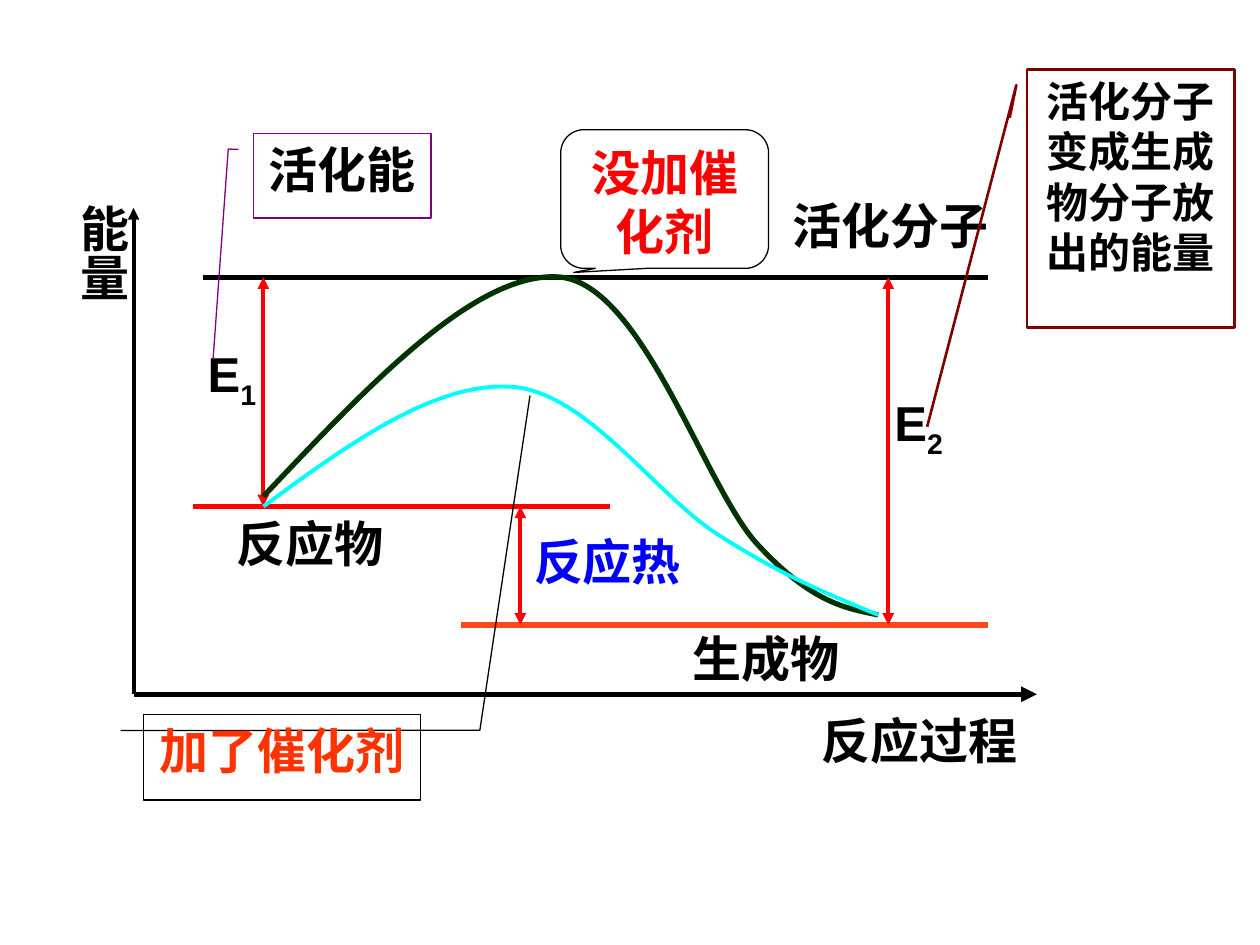
from collections import namedtuple

from pptx import Presentation
from pptx.dml.color import RGBColor
from pptx.enum.shapes import MSO_CONNECTOR, MSO_SHAPE
from pptx.enum.text import MSO_ANCHOR, MSO_AUTO_SIZE, PP_ALIGN
from pptx.oxml.ns import qn
from pptx.util import Inches, Pt
from lxml.etree import SubElement

COLORS = {
    "black": "000000",
    "red": "FF0000",
    "orange": "FB4A18",
    "scarlet": "FF3300",
    "green": "003300",
    "cyan": "00FFFF",
    "blue": "0000FF",
    "purple": "800080",
    "maroon": "800000",
}
FONT = "Arial"
Box = namedtuple("Box", "left top width height")

# Energy levels, measured down from the top of the plot
PEAK, REACTANT, PRODUCT = 0.55, 2.37, 3.31


def color(name):
    return RGBColor.from_string(COLORS[name])


def style_line(line, color_name, width):
    line.color.rgb = color(color_name)
    line.width = Pt(width)


def style_text(text_frame, color_name="black", size=28):
    for paragraph in text_frame.paragraphs:
        for run in paragraph.runs:
            run.font.name = FONT
            run.font.size = Pt(size)
            run.font.bold = True
            run.font.color.rgb = color(color_name)


def add_line(slide, box, start, end, color_name, width, arrows=()):
    """Arrows names the ends that carry a head: headEnd, tailEnd."""
    (x1, y1), (x2, y2) = start, end
    connector = slide.shapes.add_connector(
        MSO_CONNECTOR.STRAIGHT,
        Inches(box.left + x1), Inches(box.top + y1),
        Inches(box.left + x2), Inches(box.top + y2))
    style_line(connector.line, color_name, width)
    for arrow in arrows:
        SubElement(connector.line._get_or_add_ln(), qn(f"a:{arrow}"), type="triangle")
    SubElement(connector.element.spPr, qn("a:effectLst"))


def add_curve(slide, box, points, color_name, width):
    """Draw Bezier segments: a start point, then three points per segment."""
    placed = [(Inches(box.left + x), Inches(box.top + y)) for x, y in points]
    builder = slide.shapes.build_freeform(*placed[0])
    builder.add_line_segments(placed[1:], close=False)
    curve = builder.convert_to_shape()
    outline = curve.element.xpath(".//a:path")[0]
    segments = outline.findall(qn("a:lnTo"))
    for index in range(0, len(segments), 3):
        bezier = SubElement(outline, qn("a:cubicBezTo"))
        for segment in segments[index:index + 3]:
            bezier.append(segment[0])
            outline.remove(segment)
    curve.shadow.inherit = False
    curve.fill.background()
    style_line(curve.line, color_name, width)


def add_label(slide, box, position, text, color_name="black", subscript=None):
    x, y = position
    width, height = (0.58, 0.63) if subscript else (0.2 + 0.39 * len(text), 0.57)
    label = slide.shapes.add_textbox(
        Inches(box.left + x), Inches(box.top + y), Inches(width), Inches(height))
    text_frame = label.text_frame
    text_frame.word_wrap = False
    text_frame.auto_size = MSO_AUTO_SIZE.SHAPE_TO_FIT_TEXT
    text_frame.text = text
    if subscript:
        text_frame.margin_right = 0  # room to keep the subscript on the line
        run = text_frame.paragraphs[0].add_run()
        run.text = subscript
        run.font._element.set("baseline", "-25000")
    style_text(text_frame, color_name)


def add_axis_title(slide, box, position, text):
    x, y = position
    title = slide.shapes.add_textbox(
        Inches(box.left + x), Inches(box.top + y), Inches(0.66), Inches(1.02))
    text_frame = title.text_frame
    text_frame.word_wrap = True
    text_frame.auto_size = MSO_AUTO_SIZE.SHAPE_TO_FIT_TEXT
    text_frame.margin_left = text_frame.margin_right = Inches(0.05)
    text_frame.margin_top = text_frame.margin_bottom = Inches(0.1)
    text_frame.text = text
    text_frame._txBody.bodyPr.set("vert", "eaVert")
    style_text(text_frame)


def add_callout(slide, box, kind, adjustments, text, line, text_color="black", size=28):
    callout = slide.shapes.add_shape(kind, *(Inches(length) for length in box))
    for index, value in enumerate(adjustments):
        callout.adjustments[index] = value
    callout.shadow.inherit = False
    callout.fill.background()
    style_line(callout.line, *line)
    text_frame = callout.text_frame
    text_frame.word_wrap = True
    text_frame.vertical_anchor = MSO_ANCHOR.TOP
    text_frame.text = text
    text_frame.paragraphs[0].alignment = PP_ALIGN.CENTER
    style_text(text_frame, text_color, size)


def draw_plot(slide, box):
    """Axes, energy levels, energy gaps and the two reaction curves."""
    origin = (0, box.height)
    add_line(slide, box, origin, (0, 0), "black", 2.25, ["tailEnd"])
    add_line(slide, box, origin, (box.width, box.height), "black", 3, ["tailEnd"])
    for left, right, level, color_name in [
            (0.47, 3.78, REACTANT, "red"),
            (2.6, 6.78, PRODUCT, "orange"),
            (0.55, 6.78, PEAK, "black")]:
        add_line(slide, box, (left, level), (right, level), color_name, 3)
    for x, top, bottom in [
            (1.03, PEAK, REACTANT),
            (5.99, PEAK, PRODUCT),
            (3.07, REACTANT, PRODUCT)]:
        add_line(slide, box, (x, top), (x, bottom), "red", 2.25, ["headEnd", "tailEnd"])
    add_curve(slide, box, [
        (1.03, 2.29), (1.88, 1.39), (2.73, 0.49), (3.39, 0.55), (4.05, 0.62),
        (4.54, 2.24), (4.96, 2.68), (5.38, 3.13), (5.65, 3.18), (5.91, 3.23),
    ], "green", 3)
    add_curve(slide, box, [
        (1.03, 2.37), (1.71, 1.87), (2.39, 1.38), (3, 1.42), (3.6, 1.46),
        (4.16, 2.3), (4.65, 2.6), (5.13, 2.91), (5.52, 3.07), (5.91, 3.23),
    ], "cyan", 2.25)


def draw_labels(slide, box):
    add_axis_title(slide, box, (-0.62, -0.13), "能量")
    add_label(slide, box, (5.36, 3.94), "反应过程")
    add_label(slide, box, (0.49, 1.03), "E", subscript="1")
    add_label(slide, box, (5.94, 1.42), "E", subscript="2")
    add_label(slide, box, (0.72, 2.38), "反应物")
    add_label(slide, box, (4.34, 3.29), "生成物")
    add_label(slide, box, (5.13, -0.15), "活化分子")
    add_label(slide, box, (3.08, 2.52), "反应热", "blue")


def draw_callouts(slide, box):
    def within(x, y, width, height):
        return Box(box.left + x, box.top + y, width, height)

    bent = MSO_SHAPE.LINE_CALLOUT_2
    add_callout(slide, within(0.95, -0.59, 1.41, 0.67), bent,
                [0.188, -0.083, 0.185, -0.141, 2.669, -0.226],
                "活化能", ("purple", 0.75))
    add_callout(slide, within(7.09, -1.1, 1.65, 2.05), bent,
                [0.188, -0.083, 0.061, -0.051, 1.384, -0.48],
                "活化分子变成生成物分子放出的能量", ("maroon", 1.5), size=24)
    add_callout(slide, within(3.39, -0.62, 1.65, 1.1), MSO_SHAPE.ROUNDED_RECTANGULAR_CALLOUT,
                [-0.437, 0.53, 0.167], "没加催化剂", ("black", 0.75), "red")
    add_callout(slide, within(0.08, 4.02, 2.2, 0.68), bent,
                [0.188, -0.083, 0.185, 1.213, -3.723, 1.394],
                "加了催化剂", ("black", 0.75), "scarlet")


def main():
    presentation = Presentation()
    presentation.slide_width, presentation.slide_height = Inches(10), Inches(7.5)
    slide = presentation.slides.add_slide(presentation.slide_layouts[6])
    plot = Box(1.06, 1.65, 7.17, 3.86)
    draw_plot(slide, plot)
    draw_labels(slide, plot)
    draw_callouts(slide, plot)
    presentation.save("out.pptx")


if __name__ == "__main__":
    main()
